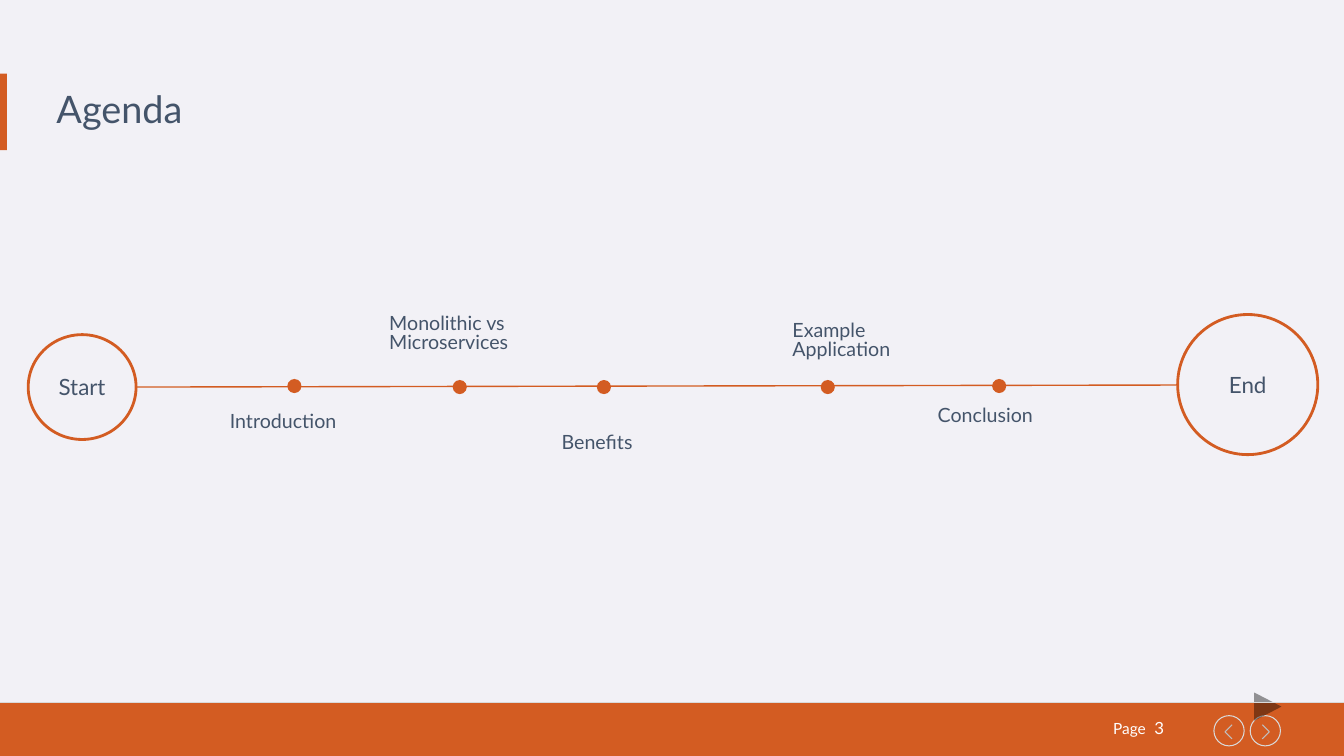
from lxml import etree
from pptx import Presentation
from pptx.dml.color import RGBColor
from pptx.enum.shapes import MSO_CONNECTOR, MSO_SHAPE
from pptx.enum.text import MSO_ANCHOR, PP_ALIGN
from pptx.oxml.ns import qn
from pptx.util import Inches, Pt

RECTANGLE, OVAL = MSO_SHAPE.RECTANGLE, MSO_SHAPE.OVAL
STRAIGHT = MSO_CONNECTOR.STRAIGHT
LEFT, CENTER = PP_ALIGN.LEFT, PP_ALIGN.CENTER
TOP, MIDDLE = MSO_ANCHOR.TOP, MSO_ANCHOR.MIDDLE

FONT = "Lato"
COLORS = {
    "background": "F2F1F6",
    "accent": "D35C22",
    "text": "44546A",
    "white": "FFFFFF",
    "ring": "D9D9D9",
    "chevron": "BFBFBF",
    "black": "000000",
}
MILESTONES = [
    ("Introduction", (2.85, 3.76), (2.28, 4.1, 1.27, 0.26)),
    ("Monolithic vs Microservices", (4.49, 3.77), (3.86, 3.12, 1.39, 0.26)),
    ("Benefits", (5.92, 3.77), (5.57, 4.3, 0.85, 0.26)),
    ("Example Application", (8.14, 3.77), (7.86, 3.19, 1.21, 0.26)),
    ("Conclusion", (9.84, 3.76), (9.3, 4.04, 1.21, 0.26)),
]


def color(name):
    """Return the named colour."""
    return RGBColor.from_string(COLORS[name])


def style_shape(shape, fill=None, line=None, width=0.75):
    """Set fill and outline, and remove the shadow."""
    shape.shadow.inherit = False
    if fill:
        shape.fill.solid()
        shape.fill.fore_color.rgb = color(fill)
    else:
        shape.fill.background()
    if line:
        shape.line.color.rgb = color(line)
        shape.line.width = Pt(width)
    else:
        shape.line.fill.background()
    return shape


def add_preset(slide, kind, box, **style):
    """Add a styled preset shape in a box given in inches."""
    shape = slide.shapes.add_shape(kind, *map(Inches, box))
    return style_shape(shape, **style)


def add_outline(slide, points, closed=False, **style):
    """Add a freeform through points given in inches."""
    corners = [(Inches(x), Inches(y)) for x, y in points]
    builder = slide.shapes.build_freeform(*corners[0])
    builder.add_line_segments(corners[1:], close=closed)
    return style_shape(builder.convert_to_shape(), **style)


def add_line(slide, start, end, line, width):
    """Add a straight connector without shadow."""
    connector = slide.shapes.add_connector(STRAIGHT, *map(Inches, start + end))
    connector.line.color.rgb = color(line)
    connector.line.width = Pt(width)
    etree.SubElement(connector.element.spPr, qn("a:effectLst"))


def write_text(shape, text, size=14, fill="text", align=LEFT, anchor=TOP,
               inset=0, spacing=1.0):
    """Write one formatted paragraph into a shape."""
    frame = shape.text_frame
    frame.word_wrap = True
    frame.vertical_anchor = anchor
    frame.margin_left = frame.margin_right = Inches(inset)
    frame.margin_top = frame.margin_bottom = Inches(inset)
    paragraph = frame.paragraphs[0]
    paragraph.alignment = align
    paragraph.line_spacing = spacing
    run = paragraph.add_run()
    run.text = text
    run.font.name = FONT
    run.font.size = Pt(size)
    run.font.color.rgb = color(fill)


def add_text(slide, text, box, **text_format):
    """Add a text box in a box given in inches."""
    write_text(slide.shapes.add_textbox(*map(Inches, box)), text, **text_format)


def add_arrow_button(slide, box, direction):
    """Draw a ringed chevron pointing left (-1) or right (1)."""
    left, top, width, height = box
    add_preset(slide, OVAL, box, line="ring")
    center_x, center_y = left + width / 2, top + height / 2 + 0.01
    back, tip = center_x - 0.03 * direction, center_x + 0.04 * direction
    add_outline(slide, [(back, center_y - 0.07), (tip, center_y), (back, center_y + 0.07)],
                line="chevron")


def add_footer(slide, box):
    """Draw the footer bar with page number and navigation."""
    left, top, width, _ = box
    add_preset(slide, RECTANGLE, box, fill="accent")
    for offset, direction in ((12.04, -1), (12.4, 1)):
        add_arrow_button(slide, (left + offset, top + 0.13, 0.3, 0.3), direction)
    play_left, play_top = left + 12.44, top - 0.1
    play = add_outline(slide, [(play_left + 0.27, play_top + 0.14), (play_left, play_top),
                               (play_left, play_top + 0.28)], closed=True, fill="black")
    fill_color = play.element.spPr.find(qn("a:solidFill"))[0]
    etree.SubElement(fill_color, qn("a:alpha")).set("val", "40000")
    add_line(slide, (left, top), (left + width, top), "ring", 0.75)
    label_format = {"fill": "white", "anchor": MIDDLE, "inset": 0.07}
    add_text(slide, "Page", (left + 10.97, top + 0.1, 0.7, 0.31), size=11, **label_format)
    add_text(slide, "3", (left + 11.38, top + 0.09, 0.24, 0.33), size=12, **label_format)


def add_title(slide, box):
    """Place the title and its accent bar at the slide edge."""
    left, top, width, height = box
    add_preset(slide, RECTANGLE, (left, top + 0.07, 0.07, 0.76), fill="accent")
    title = slide.shapes.title
    title.left, title.top = Inches(left + 0.56), Inches(top)
    title.width, title.height = Inches(width - 0.56), Inches(height)
    write_text(title, "Agenda", size=27, anchor=MIDDLE, spacing=0.9)


def add_endpoint(slide, text, box):
    """Draw a ring with a centred label."""
    ring = add_preset(slide, OVAL, box, line="accent", width=2)
    write_text(ring, text, size=16, align=CENTER, anchor=MIDDLE, inset=0.05)


def add_timeline(slide, box):
    """Draw the agenda line, its endpoints and milestones."""
    left, top, width, _ = box
    add_endpoint(slide, "Start", (left, top + 0.2, 1.07, 1.04))
    add_line(slide, (left + 1.08, top + 0.72), (left + width - 1.4, top + 0.7), "accent", 1)
    add_endpoint(slide, "End", (left + width - 1.39, top, 1.39, 1.39))
    for text, (dot_left, dot_top), label_box in MILESTONES:
        add_preset(slide, OVAL, (dot_left, dot_top, 0.14, 0.14), fill="accent")
        add_text(slide, text, label_box, spacing=0.83)


def main():
    """Build and save the agenda slide."""
    presentation = Presentation()
    presentation.slide_width, presentation.slide_height = Inches(13.33), Inches(7.5)
    slide = presentation.slides.add_slide(presentation.slide_layouts[5])
    slide.background.fill.solid()
    slide.background.fill.fore_color.rgb = color("background")
    add_footer(slide, (0, 6.97, 13.33, 0.53))
    add_title(slide, (0, 0.66, 4.32, 0.89))
    add_timeline(slide, (0.28, 3.12, 12.79, 1.39))
    presentation.save("out.pptx")


if __name__ == "__main__":
    main()
